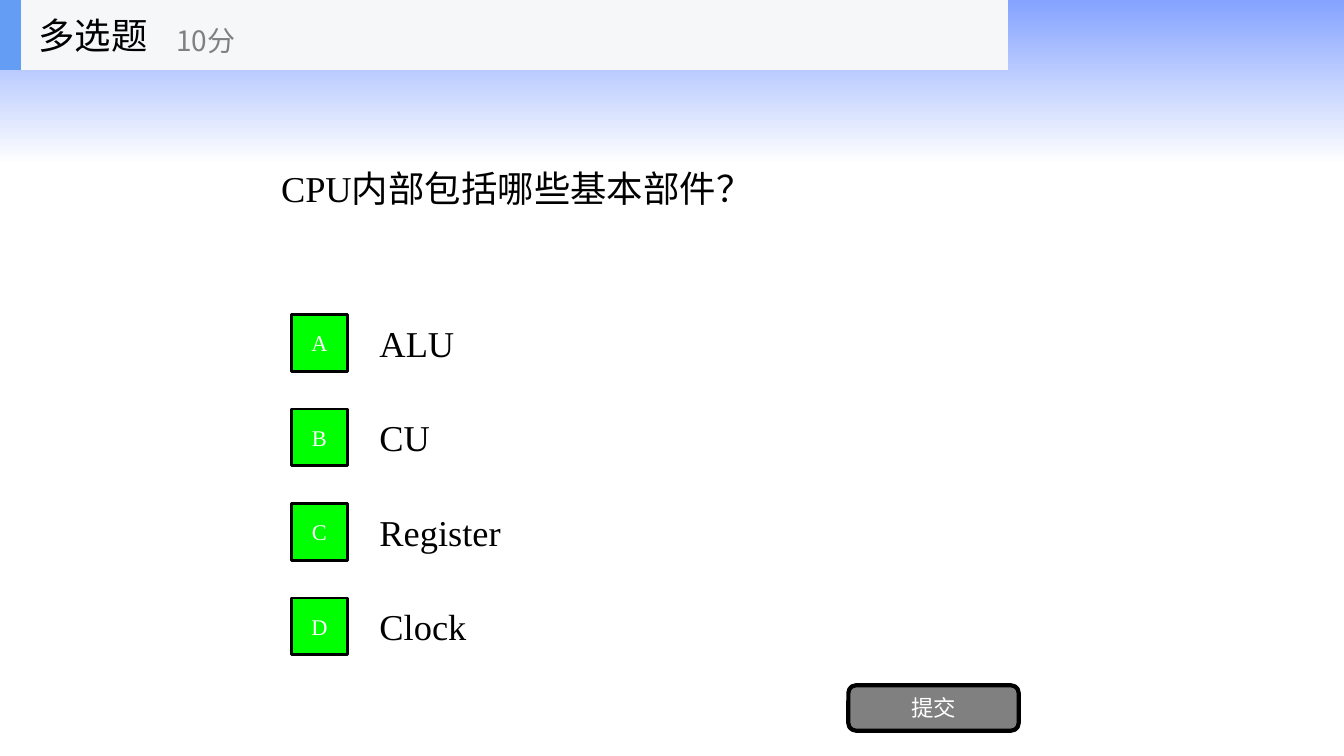
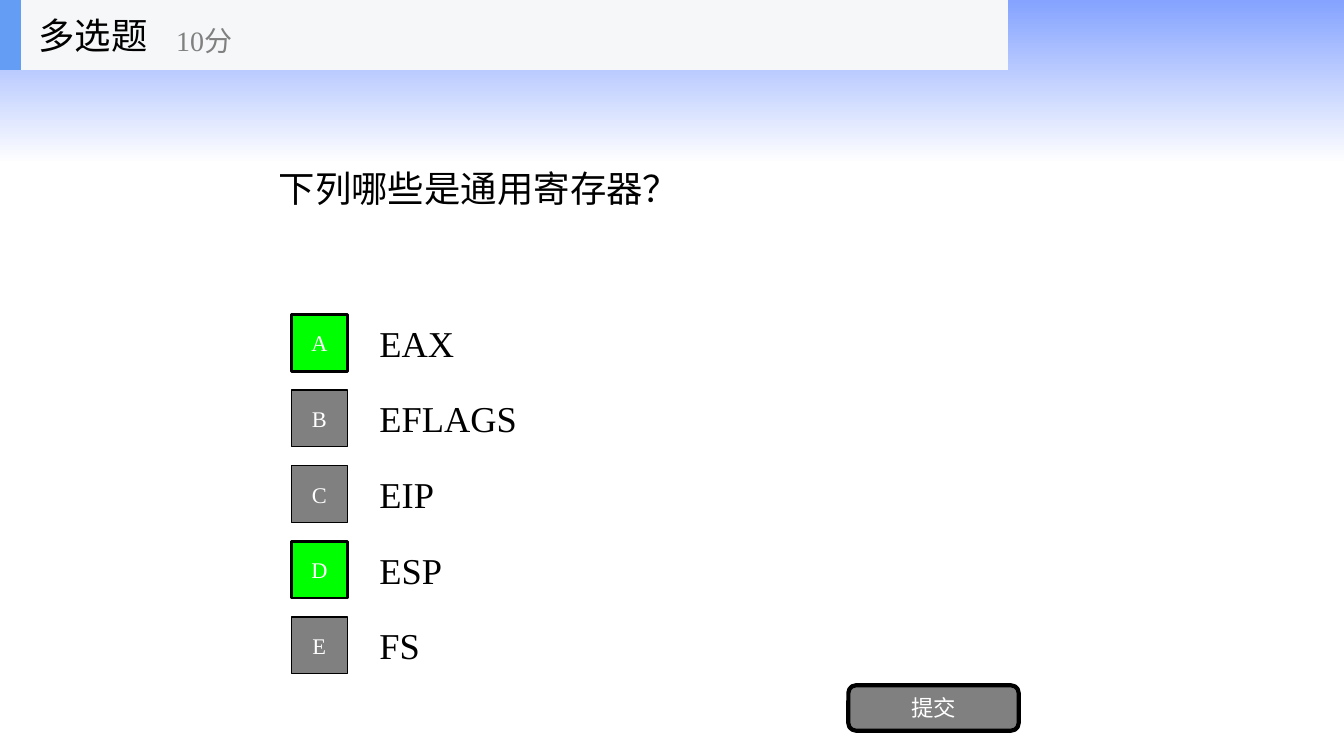
import pptx
import pptx.dml.color
import pptx.enum.shapes
import pptx.enum.text
import pptx.oxml
import pptx.oxml.ns
import pptx.util

COLORS = {
    "black": "000000", "white": "FFFFFF", "gray": "808080", "green": "00FF00",
    "sky": "85A3FF", "header": "F6F7F8", "accent": "639EF4",
}
SERIF, SANS = "Times New Roman", "Noto Sans CJK SC"
RECT = pptx.enum.shapes.MSO_SHAPE.RECTANGLE
ROUND = pptx.enum.shapes.MSO_SHAPE.ROUNDED_RECTANGLE
LEFT, CENTER = pptx.enum.text.PP_ALIGN.LEFT, pptx.enum.text.PP_ALIGN.CENTER

# Grid of 40 columns and 20 rows
prs = pptx.Presentation()
prs.slide_width = pptx.util.Inches(13.333)
prs.slide_height = pptx.util.Inches(7.5)
COL, ROW = prs.slide_width / 40, prs.slide_height / 20
HEADER_ROWS = 1.85
OPTIONS_TOP, OPTIONS_ROWS = 8.13, 10


def rgb(name):
    return pptx.dml.color.RGBColor.from_string(COLORS[name])


def add_box(s, at, fill=None, line=0, shape=RECT, text="", size=26,
            color="black", font=SERIF, align=LEFT):
    """Add a shape, or a text box when there is no fill; at is in grid units."""
    x, y, w, h = at
    place = [int(v) for v in (x * COL, y * ROW, w * COL, h * ROW)]
    if fill:
        sp = s.shapes.add_shape(shape, *place)
        sp.shadow.inherit = False
        sp.fill.solid()
        sp.fill.fore_color.rgb = rgb(fill)
        if line:
            sp.line.color.rgb = rgb("black")
            sp.line.width = pptx.util.Pt(line)
        else:
            sp.line.fill.background()
    else:
        sp = s.shapes.add_textbox(*place)
    if text:
        tf = sp.text_frame
        tf.word_wrap = True
        tf.vertical_anchor = pptx.enum.text.MSO_ANCHOR.MIDDLE
        tf.text = text
        p = tf.paragraphs[0]
        p.alignment = align
        r = p.runs[0]
        r.font.size = pptx.util.Pt(size)
        r.font.name = font
        r.font.color.rgb = rgb(color)
        ea = pptx.oxml.parse_xml(
            f'<a:ea {pptx.oxml.ns.nsdecls("a")} typeface="{SANS}"/>')
        r.font._element.find(pptx.oxml.ns.qn("a:latin")).addnext(ea)
    return sp


# Question, its left column, font of the score, options, correct letters
quizzes = [
    ("CPU内部包括哪些基本部件？", 8.07, SANS,
     ["ALU", "CU", "Register", "Clock"], "ABCD"),
    ("下列哪些是通用寄存器？", 8, SERIF,
     ["EAX", "EFLAGS", "EIP", "ESP", "FS"], "AD"),
]

for question, left, score_font, options, correct in quizzes:
    s = prs.slides.add_slide(prs.slide_layouts[6])

    # Gradient band
    band = add_box(s, (0, 0, 40, 4.32), fill="sky")
    band.fill.gradient()
    band.fill.gradient_angle = 270
    for stop, name in zip(band.fill.gradient_stops, ("sky", "white")):
        stop.color.rgb = rgb(name)

    # Question
    add_box(s, (left, HEADER_ROWS, 32 - left, 6.24), text=question)

    # Options, spread evenly over the rows
    pitch = OPTIONS_ROWS / len(options)
    for i, (letter, option) in enumerate(zip("ABCDE", options)):
        top = OPTIONS_TOP + i * pitch
        right = letter in correct
        add_box(s, (11, top, 21, 1.87), text=option)
        add_box(s, (8.67, top + 0.19, 1.67, 1.5), text=letter, size=16,
                color="white", align=CENTER,
                fill="green" if right else "gray", line=2 if right else 1)

    # Submit button
    add_box(s, (25.25, 18.13, 5.07, 1.2), fill="gray", line=3, shape=ROUND,
            text="提交", size=16, color="white", align=CENTER)

    # Header
    add_box(s, (0, 0, 30, HEADER_ROWS), fill="header")
    add_box(s, (0, 0, 0.62, HEADER_ROWS), fill="accent")
    add_box(s, (0.85, 0, 6.25, HEADER_ROWS), text="多选题")
    add_box(s, (4.95, 0.32, 7.5, 1.5), text="10分", size=20, color="gray",
            font=score_font)

prs.save("out.pptx")
